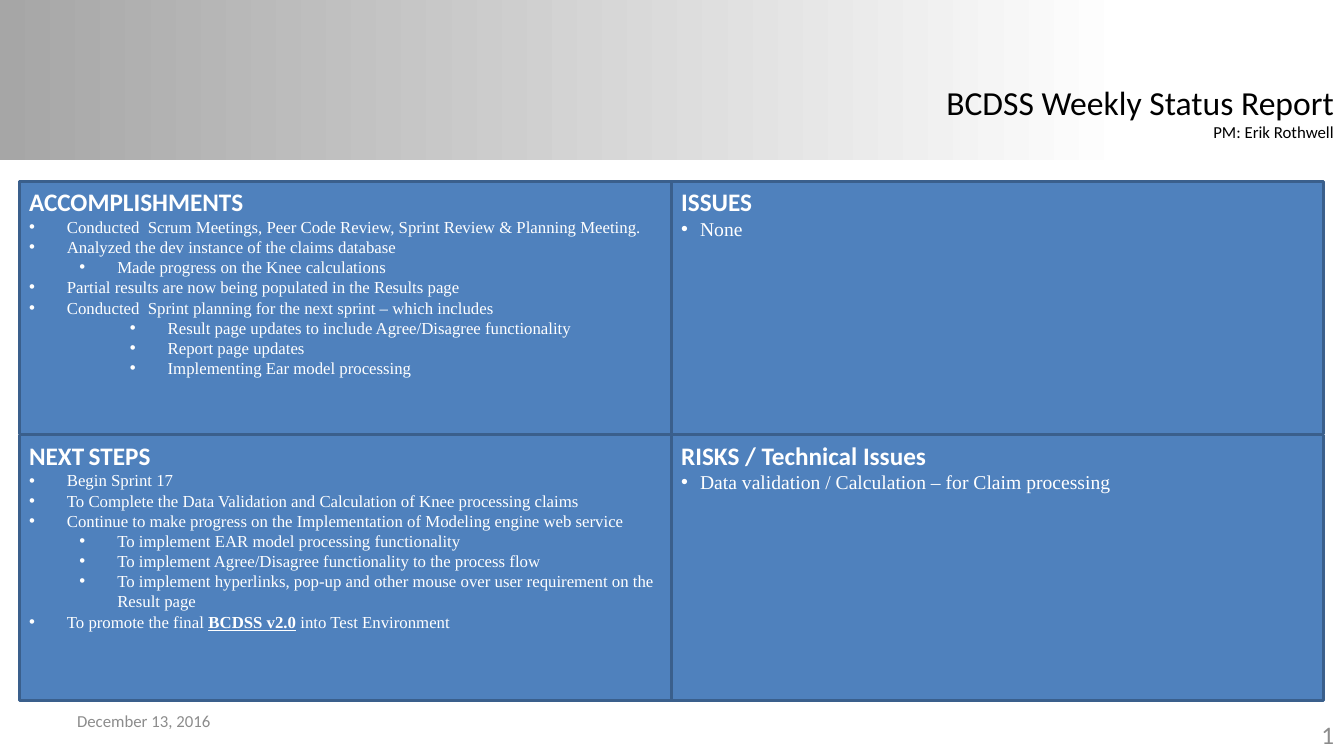
"""Build the weekly status report slide with its four panels."""
from dataclasses import dataclass

import lxml.etree
import pptx
import pptx.dml.color
import pptx.enum.shapes
import pptx.enum.text
import pptx.oxml.ns
import pptx.shapes.autoshape
import pptx.slide
import pptx.text.text
import pptx.util

Pt = pptx.util.Pt
RGBColor = pptx.dml.color.RGBColor
Align = pptx.enum.text.PP_ALIGN
Anchor = pptx.enum.text.MSO_ANCHOR
RECT = pptx.enum.shapes.MSO_SHAPE.RECTANGLE

BLACK = RGBColor(0x00, 0x00, 0x00)
WHITE = RGBColor(0xFF, 0xFF, 0xFF)
SILVER = RGBColor(0xA6, 0xA6, 0xA6)
GRAY = RGBColor(0x8C, 0x8C, 0x8C)
BLUE = RGBColor(0x4F, 0x81, 0xBD)
NAVY = RGBColor(0x3A, 0x5F, 0x8C)

SANS = "Calibri"
SERIF = "Times New Roman"
WIDTH, HEIGHT = 960, 540
LEFT, SPAN = 13.7, 465.8
ROWS = ((129.6, 180.5), (310.7, 189.5))
STEP = 36


@dataclass(frozen=True)
class Item:
    text: str
    level: int = 0
    strong: str = ""
    tail: str = ""


@dataclass(frozen=True)
class Panel:
    row: int
    col: int
    title: tuple[tuple[str, float], ...]
    items: tuple[Item, ...]
    size: float
    hang: float


PANELS = (
    Panel(0, 0, (("ACCOMPLISHMENTS", 18),), (
        Item("Conducted  Scrum Meetings, Peer Code Review, Sprint Review & Planning Meeting."),
        Item("Analyzed the dev instance of the claims database"),
        Item("Made progress on the Knee calculations", 1),
        Item("Partial results are now being populated in the Results page"),
        Item("Conducted  Sprint planning for the next sprint – which includes"),
        Item("Result page updates to include Agree/Disagree functionality", 2),
        Item("Report page updates", 2),
        Item("Implementing Ear model processing", 2),
    ), 12, 27),
    Panel(1, 0, (("NEXT", 18), (" ", 14), ("STEPS", 18)), (
        Item("Begin Sprint 17"),
        Item("To Complete the Data Validation and Calculation of Knee processing claims"),
        Item("Continue to make progress on the Implementation of Modeling engine web service"),
        Item("To implement EAR model processing functionality", 1),
        Item("To implement Agree/Disagree functionality to the process flow", 1),
        Item("To implement hyperlinks, pop-up and other mouse over user requirement on the Result page", 1),
        Item("To promote the final ", 0, "BCDSS v2.0", " into Test Environment"),
    ), 12, 27),
    Panel(0, 1, (("ISSUES", 18),), (Item("None"),), 14, 13.5),
    Panel(1, 1, (("RISKS / Technical Issues", 18),), (
        Item("Data validation / Calculation – for Claim processing"),
    ), 14, 13.5),
)


def write(para: pptx.text.text._Paragraph, text: str, *, size: float,
          font: str = SANS, color: RGBColor = WHITE, bold: bool = False,
          line: bool = False, align: Align = Align.LEFT) -> None:
    para.alignment = align
    run = para.add_run()
    run.text = text
    run.font.name = font
    run.font.size = Pt(size)
    run.font.color.rgb = color
    run.font.bold = bold
    run.font.underline = line


def bullet(para: pptx.text.text._Paragraph, level: int, hang: float) -> None:
    para.level = level
    props = para._p.get_or_add_pPr()
    props.set("marL", str(Pt(hang + STEP * level)))
    props.set("indent", str(Pt(-hang)))
    qn = pptx.oxml.ns.qn
    lxml.etree.SubElement(props, qn("a:buFont")).set("typeface", "Arial")
    lxml.etree.SubElement(props, qn("a:buChar")).set("char", "•")


def block(slide: pptx.slide.Slide, left: float, top: float, width: float,
          height: float) -> pptx.shapes.autoshape.Shape:
    shape = slide.shapes.add_shape(RECT, Pt(left), Pt(top), Pt(width), Pt(height))
    shape.shadow.inherit = False
    return shape


def banner(slide: pptx.slide.Slide) -> None:
    shape = block(slide, 0, 0, WIDTH, 114)
    shape.line.fill.background()
    shape.fill.gradient()
    shape.fill.gradient_angle = 0
    for stop, (place, color) in zip(shape.fill.gradient_stops,
                                    ((0, SILVER), (0.84, WHITE))):
        stop.position = place
        stop.color.rgb = color
    slide.shapes._spTree.insert(2, shape._element)


def heading(slide: pptx.slide.Slide) -> None:
    title = slide.shapes.title
    title.left, title.top = Pt(666), Pt(54.7)
    title.width, title.height = Pt(294), Pt(51)
    frame = title.text_frame
    frame.word_wrap = False
    frame.auto_size = pptx.enum.text.MSO_AUTO_SIZE.SHAPE_TO_FIT_TEXT
    frame.vertical_anchor = Anchor.TOP
    write(frame.paragraphs[0], "BCDSS Weekly Status Report", size=24,
          color=BLACK, align=Align.RIGHT)
    write(frame.add_paragraph(), "PM: Erik Rothwell", size=12,
          color=BLACK, align=Align.RIGHT)


def draw(slide: pptx.slide.Slide, panel: Panel) -> None:
    top, height = ROWS[panel.row]
    shape = block(slide, LEFT + panel.col * SPAN, top, SPAN, height)
    shape.fill.solid()
    shape.fill.fore_color.rgb = BLUE
    shape.line.color.rgb = NAVY
    shape.line.width = Pt(2)
    frame = shape.text_frame
    frame.word_wrap = True
    frame.vertical_anchor = Anchor.TOP
    for text, size in panel.title:
        write(frame.paragraphs[0], text, size=size, bold=True)
    for item in panel.items:
        para = frame.add_paragraph()
        bullet(para, item.level, panel.hang)
        write(para, item.text, size=panel.size, font=SERIF)
        if item.strong:
            write(para, item.strong, size=panel.size, font=SERIF, bold=True, line=True)
            write(para, item.tail, size=panel.size, font=SERIF)


def footer(slide: pptx.slide.Slide, text: str, left: float, top: float,
           size: float, align: Align) -> None:
    box = slide.shapes.add_textbox(Pt(left), Pt(top), Pt(224), Pt(28.8))
    frame = box.text_frame
    frame.word_wrap = True
    frame.vertical_anchor = Anchor.MIDDLE
    write(frame.paragraphs[0], text, size=size, color=GRAY, align=align)


def main() -> None:
    deck = pptx.Presentation()
    deck.slide_width, deck.slide_height = Pt(WIDTH), Pt(HEIGHT)
    slide = deck.slides.add_slide(deck.slide_layouts.get_by_name("Title Only"))
    banner(slide)
    heading(slide)
    for panel in PANELS:
        draw(slide, panel)
    footer(slide, "December 13, 2016", 48, 500.4, 12, Align.LEFT)
    footer(slide, "1", 736, 510.5, 18, Align.RIGHT)
    deck.save("out.pptx")


if __name__ == "__main__":
    main()
